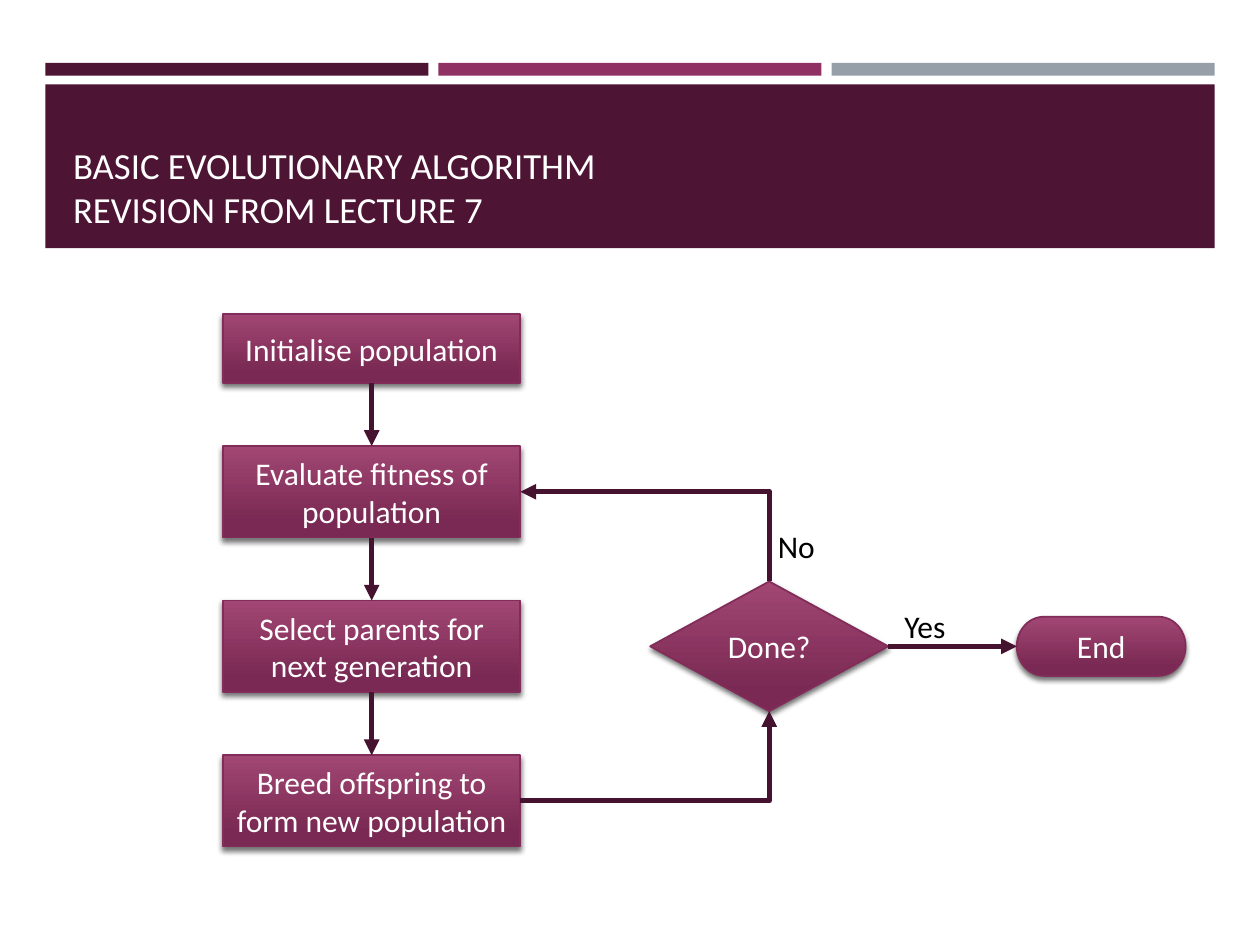
import pptx
import pptx.util
import pptx.dml.color
import pptx.oxml
import pptx.oxml.ns
from pptx.enum.shapes import MSO_CONNECTOR, MSO_SHAPE
from pptx.enum.text import MSO_ANCHOR, MSO_AUTO_SIZE, PP_ALIGN

inch = pptx.util.Inches
NS = pptx.oxml.ns.nsdecls("a")
TOP, BOTTOM, LEFT, RIGHT = 0, 2, 1, 3
PLUM, MAGENTA, GREY, ARROW = "4D1434", "903163", "969FA7", "45122F"


def colour(value):
    return pptx.dml.color.RGBColor.from_string(value)


def format_text(tf, size, value, align):
    for p in tf.paragraphs:
        p.alignment = align
        for r in p.runs:
            r.font.name = "Calibri"
            r.font.size = pptx.util.Pt(size)
            r.font.color.rgb = colour(value)


def add_bar(s, x, y, w, h, fill):
    sp = s.shapes.add_shape(MSO_SHAPE.RECTANGLE, inch(x), inch(y), inch(w), inch(h))
    sp.shadow.inherit = False
    sp.fill.solid()
    sp.fill.fore_color.rgb = colour(fill)
    sp.line.fill.background()


def add_header(s, x, y, w, h):
    """Three stripes over a dark band that holds the title."""
    gap, stripe = 0.08, 0.1
    stripe_w = (w - 2 * gap) / 3
    for i, fill in enumerate((PLUM, MAGENTA, GREY)):
        add_bar(s, x + i * (stripe_w + gap), y, stripe_w, stripe, fill)
    band_y = y + stripe + 0.07
    band_h = y + h - band_y
    add_bar(s, x, band_y, w, band_h, PLUM)

    title = s.shapes.title
    s.shapes._spTree.append(title._element)  # bring in front of the band
    title.left, title.top = inch(x + 0.12), inch(band_y + 0.1)
    title.width, title.height = inch(w - 0.23), inch(band_h - 0.19)
    tf = title.text_frame
    tf.text = "BASIC EVOLUTIONARY ALGORITHM\vREVISION FROM LECTURE 7"
    tf.auto_size = MSO_AUTO_SIZE.NONE
    tf.vertical_anchor = MSO_ANCHOR.BOTTOM
    format_text(tf, 21, "FFFFFF", PP_ALIGN.LEFT)


def add_node(s, kind, text, x, y, w, h):
    sp = s.shapes.add_shape(kind, inch(x), inch(y), inch(w), inch(h))
    sp.fill.gradient()
    sp.fill.gradient_angle = 270
    for stop, position, value in zip(sp.fill.gradient_stops, (0, 0.84), ("A24774", "792953")):
        stop.position = position
        stop.color.rgb = colour(value)
    sp.line.color.rgb = colour("822C59")
    sp.line.width = pptx.util.Pt(1)
    sp._element.spPr.append(pptx.oxml.parse_xml(
        f'<a:effectLst {NS}><a:outerShdw blurRad="38100" dist="25400" dir="5400000" '
        'rotWithShape="0"><a:srgbClr val="000000"><a:alpha val="55000"/></a:srgbClr>'
        '</a:outerShdw></a:effectLst>'))
    tf = sp.text_frame
    tf.text = text
    tf.word_wrap = True
    tf.vertical_anchor = MSO_ANCHOR.MIDDLE
    format_text(tf, 18, "FFFFFF", PP_ALIGN.CENTER)
    return sp


def add_arrow(s, start, start_side, end, end_side, bent=False, arrow="tailEnd"):
    kind = MSO_CONNECTOR.ELBOW if bent else MSO_CONNECTOR.STRAIGHT
    cxn = s.shapes.add_connector(kind, 0, 0, 0, 0)
    cxn.begin_connect(start, start_side)
    cxn.end_connect(end, end_side)
    cxn.line.color.rgb = colour(ARROW)
    cxn.line.width = pptx.util.Pt(3)
    cxn.line._get_or_add_ln().append(
        pptx.oxml.parse_xml(f'<a:{arrow} {NS} type="triangle"/>'))
    spPr = cxn._element.spPr
    if bent:  # a single corner
        spPr.find(pptx.oxml.ns.qn("a:prstGeom")).set("prst", "bentConnector2")
    spPr.append(pptx.oxml.parse_xml(f"<a:effectLst {NS}/>"))


def add_label(s, text, x, y):
    tf = s.shapes.add_textbox(inch(x), inch(y), inch(0.54), inch(0.4)).text_frame
    tf.text = text
    tf.word_wrap = False
    tf.auto_size = MSO_AUTO_SIZE.SHAPE_TO_FIT_TEXT
    format_text(tf, 18, "000000", PP_ALIGN.LEFT)


def add_flowchart(s, x, y, w, h):
    """A column of steps, with the decision and end level with the third step."""
    gap, first_h, step_w = 0.5, 0.55, 2.36
    step_h = (h - first_h - 3 * gap) / 3
    texts = ("Initialise population", "Evaluate fitness of population",
             "Select parents for next generation", "Breed offspring to form new population")
    steps, top = [], y
    for i, text in enumerate(texts):
        height = step_h if i else first_h
        steps.append(add_node(s, MSO_SHAPE.RECTANGLE, text, x, top, step_w, height))
        top += height + gap
    _, evaluate, _, breed = steps

    # Decision and end
    mid = y + first_h + 2 * gap + 1.5 * step_h
    done_x, done_w, done_h = x + 3.39, 1.89, 1.03
    end_w, end_h = 1.34, 0.47
    done = add_node(s, MSO_SHAPE.FLOWCHART_DECISION, "Done?",
                    done_x, mid - done_h / 2, done_w, done_h)
    end = add_node(s, MSO_SHAPE.FLOWCHART_TERMINATOR, "End",
                   x + w - end_w, mid - end_h / 2, end_w, end_h)

    # Arrows
    for upper, lower in zip(steps, steps[1:]):
        add_arrow(s, upper, BOTTOM, lower, TOP)
    add_arrow(s, breed, RIGHT, done, BOTTOM, bent=True)
    add_arrow(s, evaluate, RIGHT, done, TOP, bent=True, arrow="headEnd")
    add_arrow(s, done, RIGHT, end, LEFT)

    # Branch labels
    add_label(s, "Yes", done_x + done_w + 0.03, mid - 0.36)
    add_label(s, "No", done_x + done_w / 2 - 0.03, mid - 1)


def main():
    prs = pptx.Presentation()
    prs.slide_width, prs.slide_height = inch(10), inch(7.5)
    s = prs.slides.add_slide(prs.slide_layouts[5])
    add_header(s, 0.36, 0.5, 9.28, 1.47)
    add_flowchart(s, 1.77, 2.49, 7.64, 4.23)
    prs.save("out.pptx")


if __name__ == "__main__":
    main()
